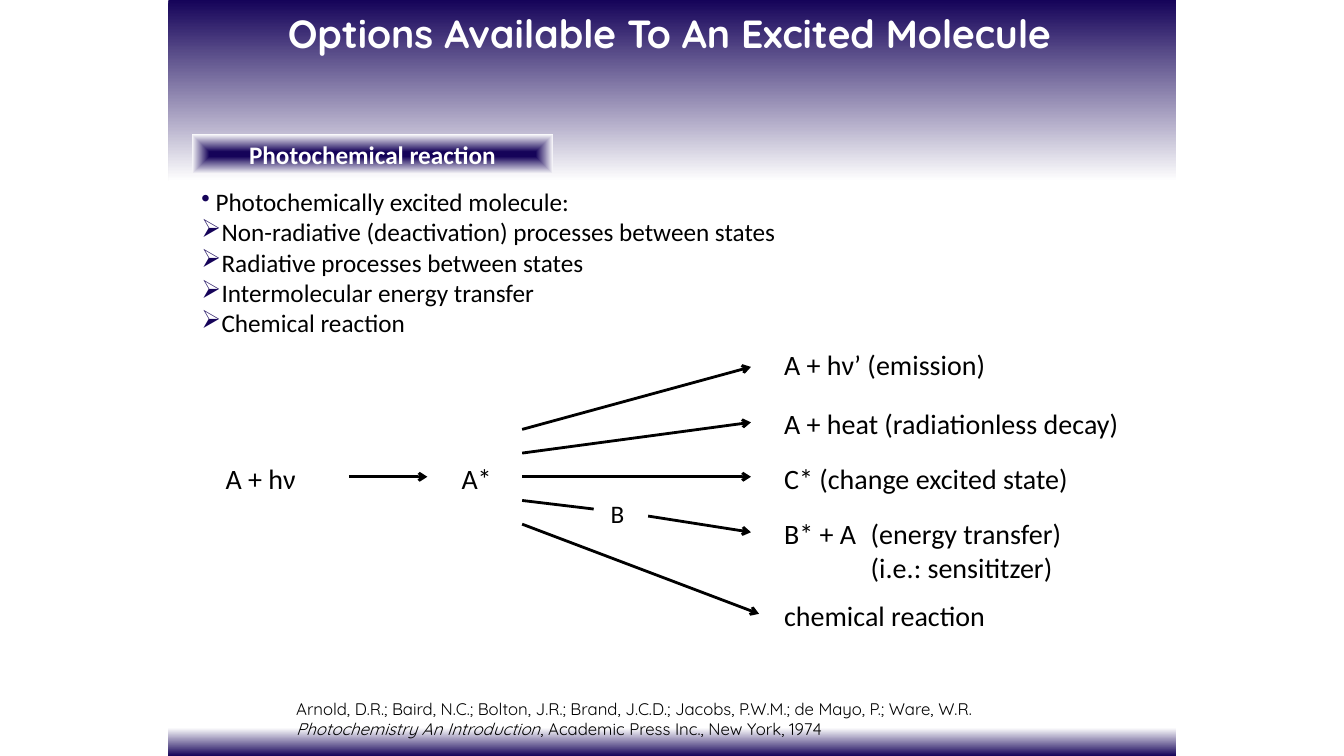
from typing import NamedTuple

from lxml import etree
from pptx import Presentation
from pptx.dml.color import RGBColor
from pptx.enum.shapes import MSO_CONNECTOR, MSO_SHAPE
from pptx.enum.text import MSO_ANCHOR, PP_ALIGN
from pptx.oxml.ns import qn
from pptx.util import Inches, Pt

RECTANGLE = MSO_SHAPE.RECTANGLE
STRAIGHT = MSO_CONNECTOR.STRAIGHT
MIDDLE = MSO_ANCHOR.MIDDLE
LEFT, CENTER, JUSTIFY = PP_ALIGN.LEFT, PP_ALIGN.CENTER, PP_ALIGN.JUSTIFY

# The grid has cells of a tenth of an inch
CELL = Inches(0.1)
COLUMNS, ROWS = 133.33, 75
PAGE_LEFT, PAGE_WIDTH = 16.7, 100
NAVY, WHITE, BLACK = "150359", "FFFFFF", "000000"
BODY_FONT, DISPLAY_FONT = "Calibri", "Quicksand"


class Box(NamedTuple):
    column: float
    row: float
    width: float
    height: float


class Label(NamedTuple):
    box: Box
    lines: tuple[str, ...]
    size: int = 20


class Arrow(NamedTuple):
    start: tuple[float, float]
    end: tuple[float, float]
    has_head: bool = True


class Bullet(NamedTuple):
    symbol: str
    text: str
    hanging: float


def cells(count: float) -> int:
    return round(count * CELL)


def color(value: str) -> RGBColor:
    return RGBColor.from_string(value)


def set_font(font, size: int, name: str = BODY_FONT, ink: str = BLACK, bold: bool = False) -> None:
    font.size, font.name, font.bold = Pt(size), name, bold
    font.color.rgb = color(ink)


def add_panel(slide, box: Box, first: str, last: str, first_position: float = 0):
    """Draw a rectangle shaded from top to bottom."""
    shape = slide.shapes.add_shape(RECTANGLE, *map(cells, box))
    shape.shadow.inherit = False
    shape.line.fill.background()
    shape.fill.gradient()
    shape.fill.gradient_angle = 270
    for stop, value, position in zip(shape.fill.gradient_stops, (first, last), (first_position, 1)):
        stop.color.rgb = color(value)
        stop.position = position
    return shape


def shade_from_center(shape) -> None:
    linear = next(shape.element.iter(qn("a:lin")))
    shading = etree.Element(qn("a:path"), {"path": "shape"})
    sides = dict.fromkeys("ltrb", "50000")
    etree.SubElement(shading, qn("a:fillToRect"), sides)
    linear.getparent().replace(linear, shading)


def add_text_frame(slide, box: Box):
    frame = slide.shapes.add_textbox(*map(cells, box)).text_frame
    frame.word_wrap = True
    return frame


def add_paragraphs(frame, lines: tuple[str, ...]) -> list:
    for _ in lines[1:]:
        frame.add_paragraph()
    for paragraph, line in zip(frame.paragraphs, lines):
        paragraph.text = line
        paragraph.alignment = JUSTIFY
    return list(frame.paragraphs)


def add_label(slide, label: Label) -> None:
    frame = add_text_frame(slide, label.box)
    for paragraph in add_paragraphs(frame, label.lines):
        if "\t" in paragraph.text:
            tabs = etree.SubElement(paragraph._p.get_or_add_pPr(), qn("a:tabLst"))
            etree.SubElement(tabs, qn("a:tab"), pos=str(cells(NOTE_TAB)), algn="l")
        set_font(paragraph.font, label.size)


def add_bullets(slide, box: Box, bullets: tuple[Bullet, ...]) -> None:
    frame = add_text_frame(slide, box)
    paragraphs = add_paragraphs(frame, tuple(bullet.text for bullet in bullets))
    for paragraph, bullet in zip(paragraphs, bullets):
        properties = paragraph._p.get_or_add_pPr()
        properties.set("marL", str(cells(bullet.hanging)))
        properties.set("indent", str(-cells(bullet.hanging)))
        bullet_color = etree.SubElement(properties, qn("a:buClr"))
        etree.SubElement(bullet_color, qn("a:srgbClr"), val=NAVY)
        etree.SubElement(properties, qn("a:buChar"), char=bullet.symbol)
        set_font(paragraph.font, 18)


def add_arrow(slide, arrow: Arrow) -> None:
    connector = slide.shapes.add_connector(STRAIGHT, *map(cells, arrow.start + arrow.end))
    connector.line.color.rgb = color(BLACK)
    connector.line.width = Pt(2)
    if arrow.has_head:
        etree.SubElement(connector.line._get_or_add_ln(), qn("a:tailEnd"), type="arrow")
    etree.SubElement(connector.element.spPr, qn("a:effectLst"))


# Reaction scheme
NOTE_TAB = 8.6
OUTCOME_COLUMN, OUTCOME_WIDTH = 76.8, 35.9
FAN_COLUMN, HEAD_COLUMN = 51.8, 74.5
FAN_ROWS = [42.6 + 2.35 * index for index in range(5)]
MAIN_ROW = FAN_ROWS[2]

OUTCOMES = (
    (34, 4.4, ("A + hν’ (emission)",)),
    (39.8, 4.4, ("A + heat (radiationless decay)",)),
    (45.3, 4.4, ("C* (change excited state)",)),
    (50.8, 7.7, ("B* + A\t(energy transfer)", "\t(i.e.: sensititzer)")),
    (58.9, 4.4, ("chemical reaction",)),
)
LABELS = (
    Label(Box(21.4, 45.3, 11.7, 4.4), ("A + hν",)),
    Label(Box(44.8, 45.3, 5.5, 4.4), ("A*",)),
    Label(Box(59.6, 48.9, 3.8, 4), ("B",), 18),
    *(Label(Box(OUTCOME_COLUMN, row, OUTCOME_WIDTH, height), lines) for row, height, lines in OUTCOMES),
)
ARROWS = (
    Arrow((34.6, MAIN_ROW), (42.4, MAIN_ROW)),
    Arrow((FAN_COLUMN, FAN_ROWS[0]), (HEAD_COLUMN, 36.4)),
    Arrow((FAN_COLUMN, FAN_ROWS[1]), (HEAD_COLUMN, 41.9)),
    Arrow((FAN_COLUMN, MAIN_ROW), (HEAD_COLUMN, MAIN_ROW)),
    Arrow((FAN_COLUMN, FAN_ROWS[3]), (58.9, 50.5), has_head=False),
    Arrow((64.3, 51.2), (HEAD_COLUMN, 52.8)),
    Arrow((FAN_COLUMN, FAN_ROWS[4]), (75.3, 60.9)),
)
BULLETS = (
    Bullet("•", "Photochemically excited molecule:", 1.4),
    Bullet("➢", "Non-radiative (deactivation) processes between states", 2),
    Bullet("➢", "Radiative processes between states", 2),
    Bullet("➢", "Intermolecular energy transfer", 2),
    Bullet("➢", "Chemical reaction", 2),
)
CITATION = (
    ("Arnold, D.R.; Baird, N.C.; Bolton, J.R.; Brand, J.C.D.; Jacobs, P.W.M.; de Mayo, P.; Ware, W.R. ", False),
    ("Photochemistry An Introduction", True),
    (", Academic Press Inc., New York, 1974", False),
)


def main() -> None:
    presentation = Presentation()
    presentation.slide_width, presentation.slide_height = cells(COLUMNS), cells(ROWS)
    slide = presentation.slides.add_slide(presentation.slide_layouts[6])

    # Shaded bands and title
    add_panel(slide, Box(PAGE_LEFT, 0, PAGE_WIDTH, 18), NAVY, WHITE)
    add_panel(slide, Box(PAGE_LEFT, 72.2, PAGE_WIDTH, 2.8), WHITE, NAVY)
    title = add_text_frame(slide, Box(17.4, 0.4, 98, 9.8)).paragraphs[0]
    title.text = "Options Available To An Excited Molecule"
    title.alignment = CENTER
    set_font(title.font, 28, DISPLAY_FONT, WHITE, bold=True)

    # Section badge
    badge = add_panel(slide, Box(19, 13.3, 35.9, 4), NAVY, WHITE, 0.12)
    shade_from_center(badge)
    badge.text_frame.vertical_anchor = MIDDLE
    heading = badge.text_frame.paragraphs[0]
    heading.text = "Photochemical reaction"
    heading.alignment = CENTER
    set_font(heading.font, 18, ink=WHITE, bold=True)

    # Bullets and scheme
    add_bullets(slide, Box(19, 18, 61.7, 19.2), BULLETS)
    for label in LABELS:
        add_label(slide, label)
    for arrow in ARROWS:
        add_arrow(slide, arrow)

    # Citation
    citation = add_text_frame(slide, Box(28.4, 68.8, 76.6, 5.1)).paragraphs[0]
    citation.alignment = LEFT
    set_font(citation.font, 12, DISPLAY_FONT)
    for text, italic in CITATION:
        run = citation.add_run()
        run.text = text
        run.font.italic = italic

    presentation.save("out.pptx")


if __name__ == "__main__":
    main()
